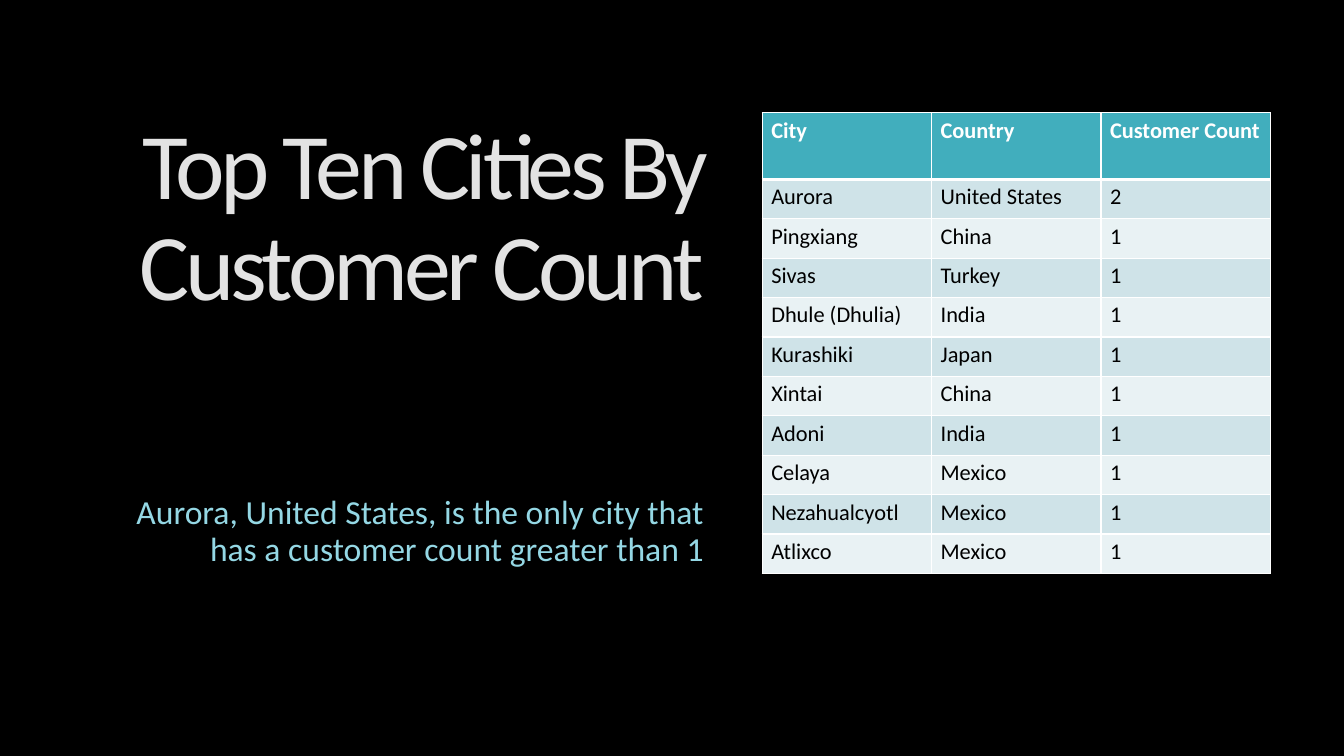
from lxml.etree import SubElement
from pptx import Presentation
from pptx.dml.color import RGBColor
from pptx.enum.text import MSO_ANCHOR, MSO_AUTO_SIZE, PP_ALIGN
from pptx.oxml.ns import qn
from pptx.util import Inches, Pt

BLACK = RGBColor(0x00, 0x00, 0x00)
WHITE = RGBColor(0xFF, 0xFF, 0xFF)
TEAL = RGBColor(0x41, 0xAE, 0xBD)
BANDS = (RGBColor(0xCF, 0xE3, 0xE8), RGBColor(0xE9, 0xF2, 0xF4))
SILVER = ((0, RGBColor(0x96, 0x96, 0x96)), (32, RGBColor(0xE3, 0xE3, 0xE3)), (100, WHITE))
AQUA = ((0, RGBColor(0x9F, 0xDB, 0xE7)), (15, RGBColor(0x94, 0xD7, 0xE4)),
        (73, RGBColor(0xBF, 0xE7, 0xEF)), (100, WHITE))

HEADER = ("City", "Country", "Customer Count")
CITIES = (
    ("Aurora", "United States", "2"),
    ("Pingxiang", "China", "1"),
    ("Sivas", "Turkey", "1"),
    ("Dhule (Dhulia)", "India", "1"),
    ("Kurashiki", "Japan", "1"),
    ("Xintai", "China", "1"),
    ("Adoni", "India", "1"),
    ("Celaya", "Mexico", "1"),
    ("Nezahualcyotl", "Mexico", "1"),
    ("Atlixco", "Mexico", "1"),
)


def apply(obj, **values):
    for name, value in values.items():
        setattr(obj, name, value)


class SlideBuilder:
    font = "Calibri"
    margins = dict(margin_left=Inches(0.09), margin_right=Inches(0.09),
                   margin_top=Inches(0.04), margin_bottom=Inches(0.04))

    def __init__(self, prs):
        self.s = prs.slides.add_slide(prs.slide_layouts[1])
        fill = self.s.background.fill
        fill.solid()
        fill.fore_color.rgb = BLACK

    def gradient(self, font, stops, angle):
        """Fill text with a gradient; angle is clockwise in degrees."""
        font.fill.gradient()
        font.fill.gradient_angle = 360 - angle
        stop_list = font._element.find(".//" + qn("a:gsLst"))
        stop_list.clear()
        for percent, color in stops:
            stop = SubElement(stop_list, qn("a:gs"), pos=str(percent * 1000))
            SubElement(stop, qn("a:srgbClr"), val=str(color))

    def placeholder(self, sp, text, box, size, anchor, stops, angle, before=0):
        """Place and format a right-aligned placeholder; return its run."""
        apply(sp, **dict(zip(("left", "top", "width", "height"), map(Inches, box))))
        tf = sp.text_frame
        apply(tf, word_wrap=True, auto_size=MSO_AUTO_SIZE.NONE, vertical_anchor=anchor)
        p = tf.paragraphs[0]
        apply(p, alignment=PP_ALIGN.RIGHT, line_spacing=0.9, space_before=Pt(before))
        r = p.add_run()
        r.text = text
        apply(r.font, name=self.font, size=Pt(size))
        self.gradient(r.font, stops, angle)
        return r

    def title(self, text, box):
        r = self.placeholder(self.s.shapes.title, text, box, 67, MSO_ANCHOR.TOP, SILVER, 135)
        r.font._element.set("spc", "-300")

    def body(self, text, box):
        sp = self.s.placeholders[1]
        self.placeholder(sp, text, box, 24, MSO_ANCHOR.BOTTOM, AQUA, 270, before=10)
        pPr = sp.text_frame.paragraphs[0]._p.get_or_add_pPr()
        pPr.set("marL", "0")
        pPr.set("indent", "0")
        SubElement(pPr, qn("a:buNone"))

    def borders(self, cell, **widths):
        tcPr = cell._tc.get_or_add_tcPr()
        for side in "LRTB":
            ln = SubElement(tcPr, qn("a:ln" + side), w=str(Pt(widths.get(side, 1))))
            SubElement(SubElement(ln, qn("a:solidFill")), qn("a:srgbClr"), val=str(WHITE))

    def cell(self, cell, text, fill, color, bold, **widths):
        self.borders(cell, **widths)
        cell.fill.solid()
        cell.fill.fore_color.rgb = fill
        apply(cell, **self.margins)
        r = cell.text_frame.paragraphs[0].add_run()
        r.text = text
        apply(r.font, name=self.font, size=Pt(16), bold=bold)
        r.font.color.rgb = color

    def table(self, header, rows, box, header_height):
        left, top, width, height = map(Inches, box)
        table = self.s.shapes.add_table(len(rows) + 1, len(header), left, top, width, height).table
        for col in table.columns:
            col.width = width // len(header)
        for row in table.rows:
            row.height = (height - Inches(header_height)) // len(rows)
        table.rows[0].height = Inches(header_height)
        for j, text in enumerate(header):
            self.cell(table.cell(0, j), text, TEAL, WHITE, True, B=3)
        for i, row in enumerate(rows):
            for j, text in enumerate(row):
                self.cell(table.cell(i + 1, j), text, BANDS[i % 2], BLACK, False,
                          T=1 if i else 3)


def main():
    prs = Presentation()
    apply(prs, slide_width=Inches(13.33), slide_height=Inches(7.5))
    slide = SlideBuilder(prs)
    slide.title("Top Ten Cities By Customer Count", (0.73, 1.12, 6.35, 2.74))
    slide.body("Aurora, United States, is the only city that has a customer count greater than 1",
               (0.73, 4.87, 6.35, 0.82))
    slide.table(HEADER, CITIES, (7.56, 1.12, 5.04, 4.57), 0.66)
    prs.save("out.pptx")


if __name__ == "__main__":
    main()
